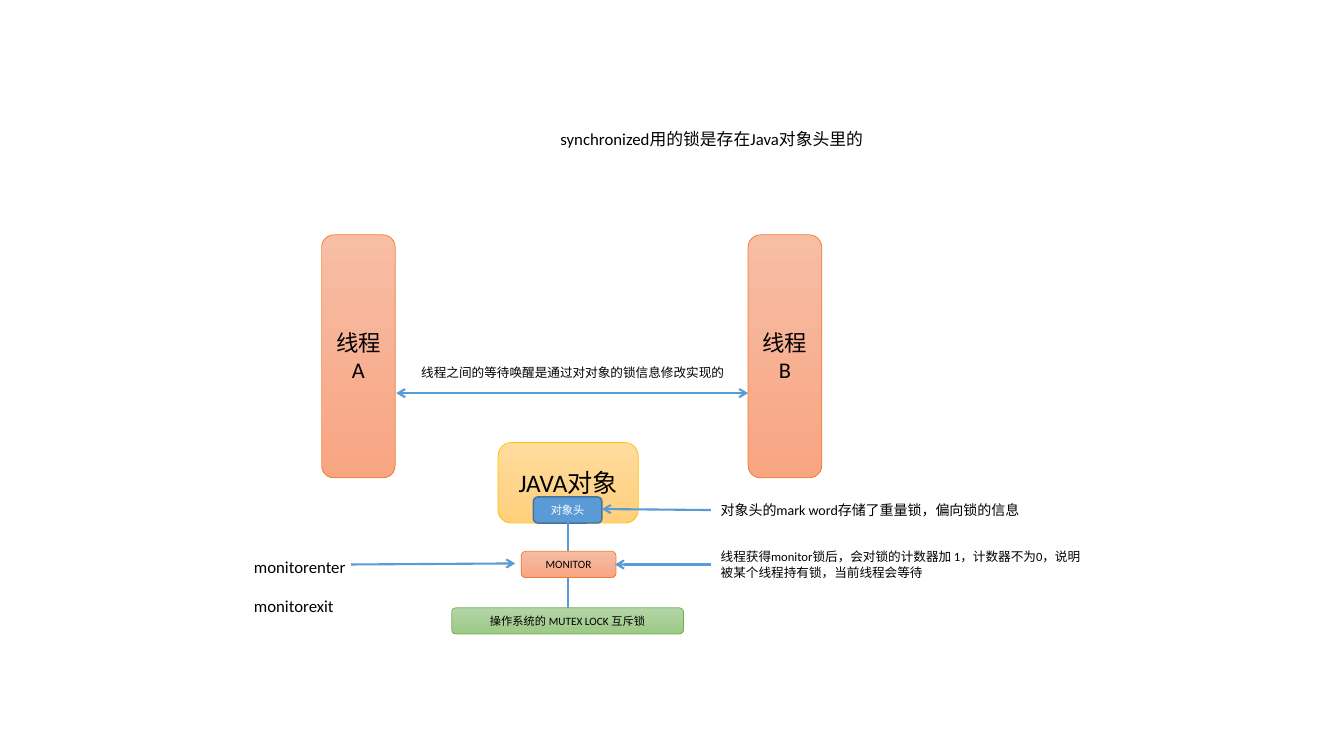
"""Draw how threads, a Java object header and a monitor share a lock."""
import pptx
import pptx.util
import pptx.dml.color
import pptx.enum.shapes
import pptx.enum.text
import pptx.oxml

Inches = pptx.util.Inches
Pt = pptx.util.Pt
RGBColor = pptx.dml.color.RGBColor
MSO_SHAPE = pptx.enum.shapes.MSO_SHAPE
LINK = pptx.enum.shapes.MSO_CONNECTOR.STRAIGHT
ALIGN = pptx.enum.text.PP_ALIGN
ANCHOR = pptx.enum.text.MSO_ANCHOR
FIT = pptx.enum.text.MSO_AUTO_SIZE

BLACK = RGBColor(0x00, 0x00, 0x00)
WHITE = RGBColor(0xFF, 0xFF, 0xFF)
BLUE = RGBColor(0x5B, 0x9B, 0xD5)
NAVY = RGBColor(0x43, 0x73, 0x9E)
ORANGE = RGBColor(0xED, 0x7D, 0x31)
PEACH = RGBColor(0xF7, 0xBD, 0xA5)
CORAL = RGBColor(0xF8, 0xA5, 0x82)
GOLD = RGBColor(0xFF, 0xC0, 0x00)
CREAM = RGBColor(0xFF, 0xDB, 0x9E)
AMBER = RGBColor(0xFF, 0xD0, 0x7C)
GREEN = RGBColor(0x70, 0xAD, 0x47)
MINT = RGBColor(0xB5, 0xD5, 0xA7)
SAGE = RGBColor(0x9C, 0xC9, 0x87)

THREAD = {"fill": (PEACH, CORAL), "edge": ORANGE, "size": 16}
OBJECT = {"fill": (CREAM, AMBER), "edge": GOLD, "size": 18}
HEADER = {"fill": (BLUE,), "edge": NAVY, "size": 8, "width": 1, "ink": WHITE}
MONITOR = {"fill": (PEACH, CORAL), "edge": ORANGE, "size": 8}
MUTEX = {"fill": (MINT, SAGE), "edge": GREEN, "size": 8}


def assign(item, values):
    """Set every attribute of the item named in values."""
    for name, value in values.items():
        setattr(item, name, value)


def write(frame, lines, size, ink=BLACK, align=ALIGN.LEFT, gap=0):
    """Fill a text frame with lines, set apart by a gap in points."""
    for row, line in enumerate(lines):
        para = frame.add_paragraph() if row else frame.paragraphs[0]
        para.alignment = align
        if row:
            para.space_before = Pt(gap)
        run = para.add_run()
        run.text = line
        assign(run.font, {"name": "Calibri", "size": Pt(size)})
        run.font.color.rgb = ink


def paint(fill, tones):
    """Fill with one plain tone or a blend of two from top to bottom."""
    if len(tones) == 1:
        fill.solid()
        fill.fore_color.rgb = tones[0]
        return
    fill.gradient()
    fill.gradient_angle = 270
    for stop, tone in zip(fill.gradient_stops, tones):
        stop.color.rgb = tone


def add_box(slide, text, place, style):
    """Add a rounded box with a centred label."""
    box = slide.shapes.add_shape(MSO_SHAPE.ROUNDED_RECTANGLE, *map(Inches, place))
    box.shadow.inherit = False
    paint(box.fill, style["fill"])
    box.line.color.rgb = style["edge"]
    box.line.width = Pt(style.get("width", 0.5))
    assign(box.text_frame, {"word_wrap": True, "vertical_anchor": ANCHOR.MIDDLE})
    write(box.text_frame, [text], style["size"], style.get("ink", BLACK), ALIGN.CENTER)


def add_note(slide, lines, place, size, gap=0):
    """Add a wrapped text box."""
    note = slide.shapes.add_textbox(*map(Inches, place))
    assign(note.text_frame, {"word_wrap": True, "auto_size": FIT.SHAPE_TO_FIT_TEXT})
    write(note.text_frame, lines, size, gap=gap)


def add_link(slide, start, end, tips=()):
    """Add a blue line with an arrow at each named tip."""
    link = slide.shapes.add_connector(LINK, *map(Inches, start + end))
    link.line.color.rgb = BLUE
    link.line.width = Pt(1.5)
    space = pptx.oxml.ns.nsdecls("a")
    for tip in tips:
        mark = pptx.oxml.parse_xml(f'<a:{tip} {space} type="arrow"/>')
        link.line._get_or_add_ln().append(mark)
    link._element.spPr.append(pptx.oxml.parse_xml(f"<a:effectLst {space}/>"))


def main():
    """Build the slide and save it."""
    deck = pptx.Presentation()
    assign(deck, {"slide_width": Inches(13.33), "slide_height": Inches(7.5)})
    slide = deck.slides.add_slide(deck.slide_layouts[6])

    for text, place, style in (
        ("线程A", (3.19, 2.33, 0.73, 2.41), THREAD),
        ("JAVA对象", (4.94, 4.39, 1.39, 0.8), OBJECT),
        ("对象头", (5.29, 4.93, 0.68, 0.26), HEADER),
        ("线程B", (7.42, 2.33, 0.73, 2.41), THREAD),
        ("MONITOR", (5.17, 5.47, 0.94, 0.26), MONITOR),
        ("操作系统的 MUTEX LOCK 互斥锁", (4.48, 6.03, 2.3, 0.26), MUTEX),
    ):
        add_box(slide, text, place, style)

    for text, place, size in (
        ("synchronized用的锁是存在Java对象头里的", (5.46, 1.23, 5.3, 0.3), 12),
        ("对象头的mark word存储了重量锁，偏向锁的信息", (7.05, 4.93, 3.23, 0.27), 10),
        ("线程获得monitor锁后，会对锁的计数器加 1，计数器不为0，"
         "说明被某个线程持有锁，当前线程会等待", (7.05, 5.4, 3.79, 0.4), 9),
        ("线程之间的等待唤醒是通过对对象的锁信息修改实现的", (4.08, 3.57, 3.27, 0.25), 9),
    ):
        add_note(slide, [text], place, size)
    add_note(slide, ["monitorenter", "monitorexit"], (2.42, 5.47, 1.25, 0.71), 12, 14)

    for start, end, tips in (
        ((3.48, 5.6), (5.11, 5.59), ("tailEnd",)),
        ((5.63, 5.18), (5.63, 5.47), ()),
        ((5.63, 5.73), (5.63, 6.03), ()),
        ((7.05, 5.06), (5.97, 5.05), ("tailEnd",)),
        ((7.05, 5.6), (6.1, 5.6), ("tailEnd",)),
        ((3.93, 3.9), (7.42, 3.9), ("headEnd", "tailEnd")),
    ):
        add_link(slide, start, end, tips)

    deck.save("out.pptx")


if __name__ == "__main__":
    main()
